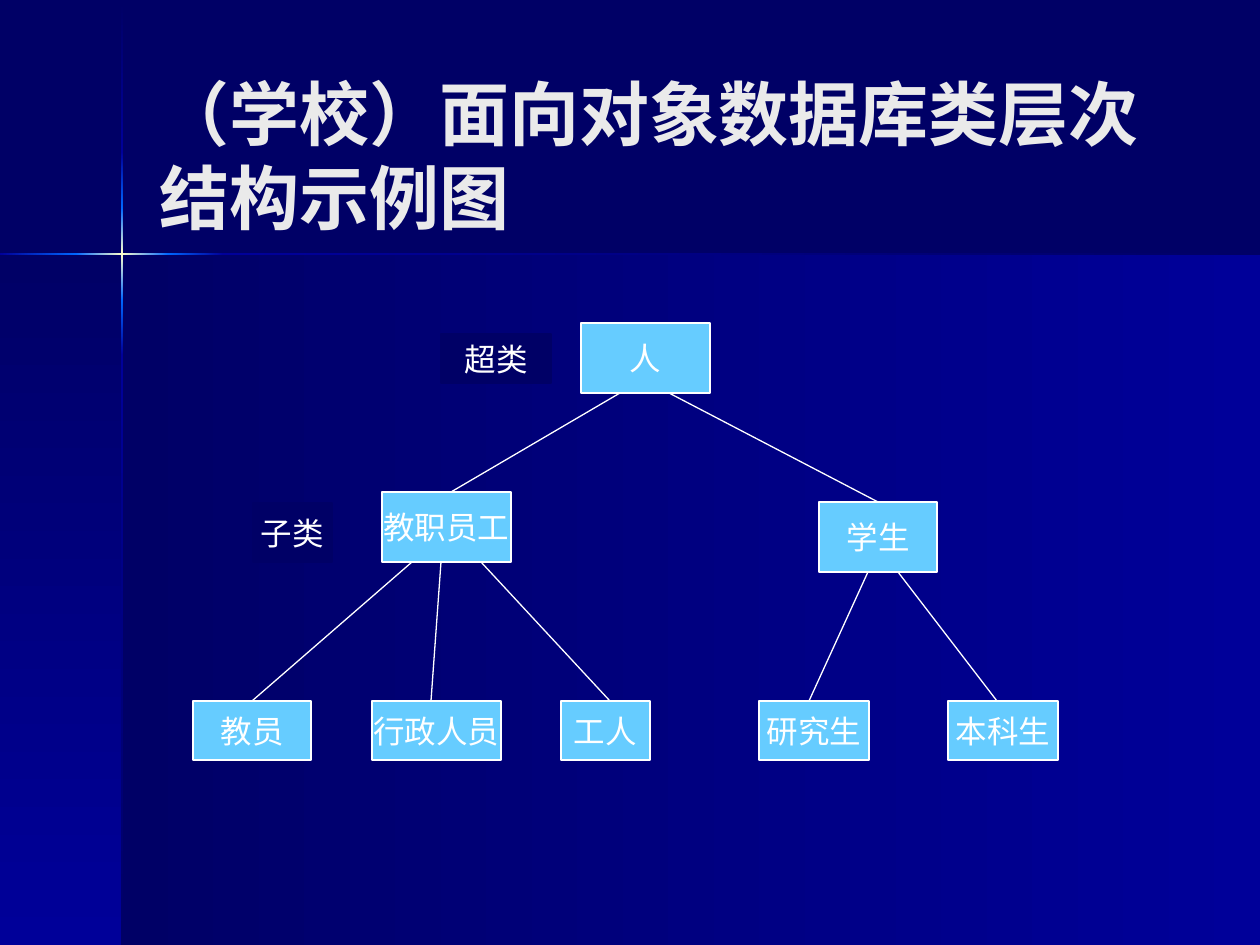
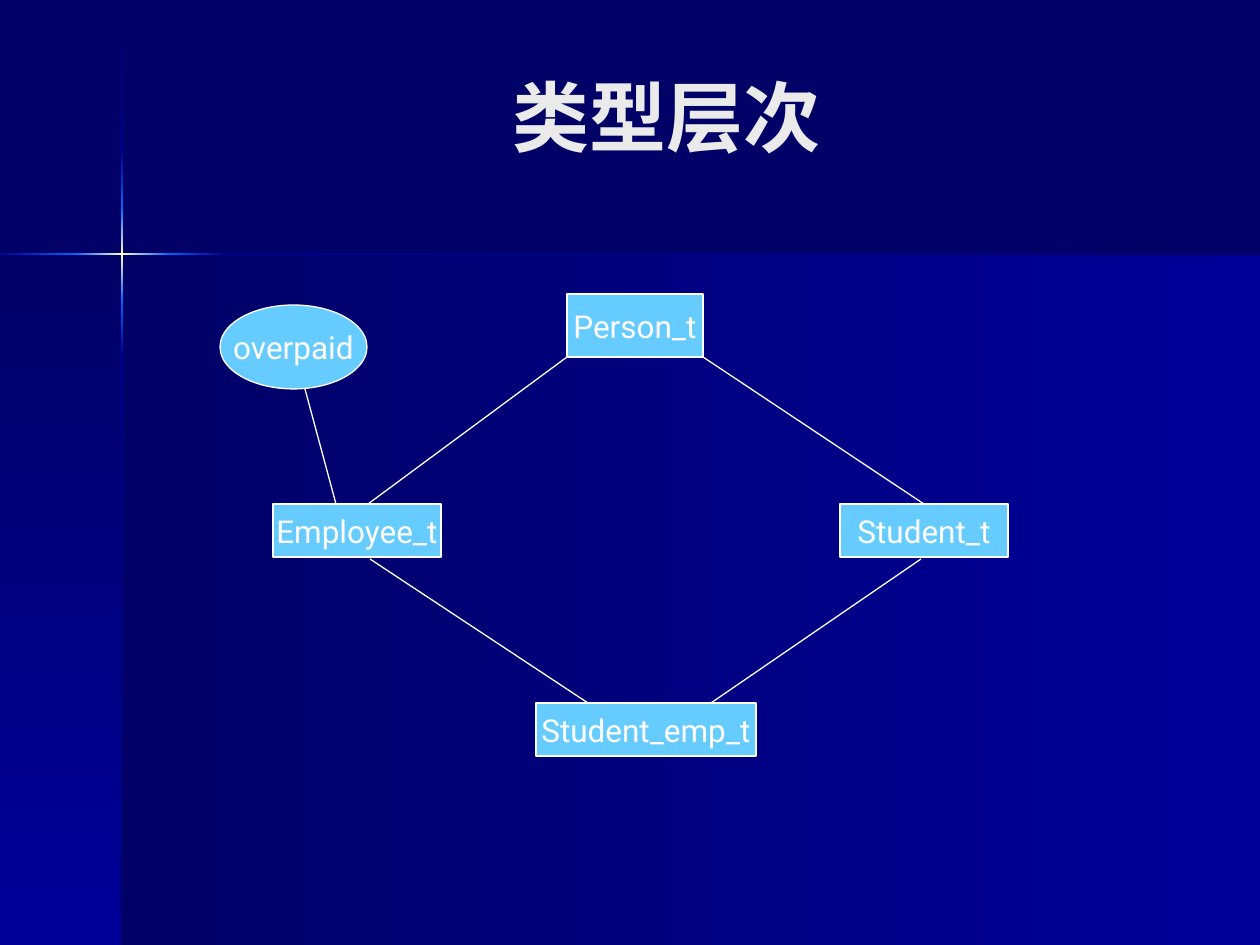
import pptx
import pptx.dml.color
import pptx.enum.shapes
import pptx.enum.text
import pptx.oxml
import pptx.oxml.ns
import pptx.util
from lxml import etree

RGBColor = pptx.dml.color.RGBColor
SHAPE = pptx.enum.shapes.MSO_SHAPE
ALIGN = pptx.enum.text.PP_ALIGN

NAVY = RGBColor(0x00, 0x00, 0x66)
BLUE = RGBColor(0x00, 0x00, 0x99)
BRIGHT = RGBColor(0x00, 0x66, 0xFF)
CREAM = RGBColor(0xFF, 0xFF, 0xCC)
SKY = RGBColor(0x66, 0xCC, 0xFF)
WHITE = RGBColor(0xFF, 0xFF, 0xFF)
TITLE_GREY = RGBColor(0xEA, 0xEA, 0xEA)

WIDTH, HEIGHT = 1260, 945
PX_PER_INCH = 126
HORIZONTAL, VERTICAL = 0, 90
THIN = pptx.util.Pt(0.75)


def px(length):
    return round(length * 914400 / PX_PER_INCH)


def write_run(paragraph, text, font_name, size, color, bold=False):
    run = paragraph.add_run()
    run.text = text
    run.font.name = font_name
    run.font.size = pptx.util.Pt(size)
    run.font.bold = bold
    run.font.color.rgb = color


deck = pptx.Presentation()
deck.slide_width, deck.slide_height = px(WIDTH), px(HEIGHT)
master = deck.slide_master
master.background.fill.solid()
master.background.fill.fore_color.rgb = NAVY
title_only = deck.slide_layouts[5]

# Gradient bands: left, top, width, height, direction, colours
bands = [
    (122, 255, WIDTH - 122, HEIGHT - 255, HORIZONTAL, [NAVY, BLUE]),
    (0, 255, 122, HEIGHT - 255, VERTICAL, [NAVY, BLUE]),
]
ray_colors = [[NAVY, BLUE], [BLUE, BRIGHT], [BRIGHT, CREAM, BRIGHT],
              [BRIGHT, BLUE], [BLUE, NAVY]]
vertical_stops = [1, 152, 208, 300, 355, HEIGHT]
horizontal_stops = [0, 76, 168, 223, WIDTH]
for start, end, colors in zip(vertical_stops, vertical_stops[1:], ray_colors):
    bands.append((121, start, 2, end - start, VERTICAL, colors))
for start, end, colors in zip(horizontal_stops, horizontal_stops[1:], ray_colors[1:]):
    bands.append((start, 253, end - start, 2, HORIZONTAL, colors))

# Each slide: title parts, title place and style, nodes and links.
# Node: text, left, top, width, height, outline, fill, line
# Link: upper node, start x, lower node, end x, gap below the upper node
slides = [
    {
        "title": ["（学校）面向对象数据库类层次", "结构示例图"],
        "title_place": (147, 76, 1021, 157),
        "title_size": 40,
        "title_align": ALIGN.LEFT,
        "node_font": "Arial",
        "nodes": [
            ("人", 581, 323, 129, 70, SHAPE.RECTANGLE, SKY, WHITE),
            ("教职员工", 382, 492, 129, 70, SHAPE.RECTANGLE, SKY, WHITE),
            ("学生", 819, 502, 118, 70, SHAPE.RECTANGLE, SKY, WHITE),
            ("行政人员", 372, 701, 129, 59, SHAPE.RECTANGLE, SKY, WHITE),
            ("工人", 561, 701, 89, 59, SHAPE.RECTANGLE, SKY, WHITE),
            ("教员", 193, 701, 118, 59, SHAPE.RECTANGLE, SKY, WHITE),
            ("研究生", 759, 701, 110, 59, SHAPE.RECTANGLE, SKY, WHITE),
            ("本科生", 948, 701, 110, 59, SHAPE.RECTANGLE, SKY, WHITE),
            ("超类", 441, 334, 110, 49, SHAPE.RECTANGLE, NAVY, NAVY),
            ("子类", 253, 503, 79, 59, SHAPE.RECTANGLE, NAVY, NAVY),
        ],
        "links": [
            ("人", 620, "教职员工", 451, 0),
            ("人", 669, "学生", 878, 0),
            ("教职员工", 412, "教员", 252, 0),
            ("教职员工", 441, "行政人员", 431, 0),
            ("教职员工", 481, "工人", 610, 0),
            ("学生", 868, "研究生", 809, 0),
            ("学生", 898, "本科生", 997, 0),
        ],
    },
    {
        "title": ["类型层次"],
        "title_place": (147, 42, 1040, 147),
        "title_size": 44,
        "title_align": ALIGN.CENTER,
        "node_font": "Roboto",
        "nodes": [
            ("Person_t", 567, 294, 136, 63, SHAPE.RECTANGLE, SKY, WHITE),
            ("Employee_t", 273, 504, 168, 53, SHAPE.RECTANGLE, SKY, WHITE),
            ("Student_t", 840, 504, 168, 53, SHAPE.RECTANGLE, SKY, WHITE),
            ("Student_emp_t", 536, 703, 220, 53, SHAPE.RECTANGLE, SKY, WHITE),
            ("overpaid", 220, 305, 147, 84, SHAPE.OVAL, SKY, WHITE),
        ],
        "links": [
            ("Person_t", 567, "Employee_t", 368, 0),
            ("Person_t", 703, "Student_t", 924, 0),
            ("Employee_t", 370, "Student_emp_t", 588, 2),
            ("Student_t", 921, "Student_emp_t", 711, 2),
            ("overpaid", 305, "Employee_t", 336, 0),
        ],
    },
]

for number, content in enumerate(slides):
    slide = deck.slides.add_slide(title_only)

    # The bands are made once and moved behind everything on the master
    if number == 0:
        for depth, (left, top, width, height, angle, colors) in enumerate(bands):
            band = slide.shapes.add_shape(SHAPE.RECTANGLE, px(left), px(top), px(width), px(height))
            band.shadow.inherit = False
            band.line.fill.background()
            band.fill.background()
            stops = "".join(
                f'<a:gs pos="{100000 * i // (len(colors) - 1)}"><a:srgbClr val="{color}"/></a:gs>'
                for i, color in enumerate(colors))
            gradient = pptx.oxml.parse_xml(
                f'<a:gradFill {pptx.oxml.ns.nsdecls("a")} rotWithShape="1"><a:gsLst>{stops}</a:gsLst>'
                f'<a:lin ang="{angle * 60000}" scaled="0"/></a:gradFill>')
            properties = band.element.spPr
            properties.replace(properties.find(pptx.oxml.ns.qn("a:noFill")), gradient)
            master.shapes.element.insert(2 + depth, band.element)

    title = slide.shapes.title
    title.left, title.top, title.width, title.height = map(px, content["title_place"])
    title.text_frame.auto_size = pptx.enum.text.MSO_AUTO_SIZE.NONE
    title.text_frame.vertical_anchor = pptx.enum.text.MSO_ANCHOR.MIDDLE
    heading = title.text_frame.paragraphs[0]
    heading.alignment = content["title_align"]
    for part_number, part in enumerate(content["title"]):
        if part_number:
            heading.add_line_break()
        write_run(heading, part, "Roboto", content["title_size"], TITLE_GREY, bold=True)

    nodes = {}
    for text, left, top, width, height, outline, fill, line in content["nodes"]:
        node = slide.shapes.add_shape(outline, px(left), px(top), px(width), px(height))
        node.shadow.inherit = False
        node.fill.solid()
        node.fill.fore_color.rgb = fill
        node.line.color.rgb = line
        node.line.width = THIN
        node.text_frame.word_wrap = False
        node.text_frame.vertical_anchor = pptx.enum.text.MSO_ANCHOR.MIDDLE
        label = node.text_frame.paragraphs[0]
        label.alignment = ALIGN.CENTER
        write_run(label, text, content["node_font"], 18, WHITE)
        nodes[text] = node

    for upper_name, start_x, lower_name, end_x, gap in content["links"]:
        upper, lower = nodes[upper_name], nodes[lower_name]
        link = slide.shapes.add_connector(
            pptx.enum.shapes.MSO_CONNECTOR.STRAIGHT,
            px(start_x), upper.top + upper.height + px(gap), px(end_x), lower.top)
        link.line.color.rgb = WHITE
        link.line.width = THIN
        etree.SubElement(link.element.spPr, pptx.oxml.ns.qn("a:effectLst"))
        if abs(lower.left + lower.width // 2 - px(end_x)) < px(1):
            link.end_connect(lower, 0)

deck.save("out.pptx")
